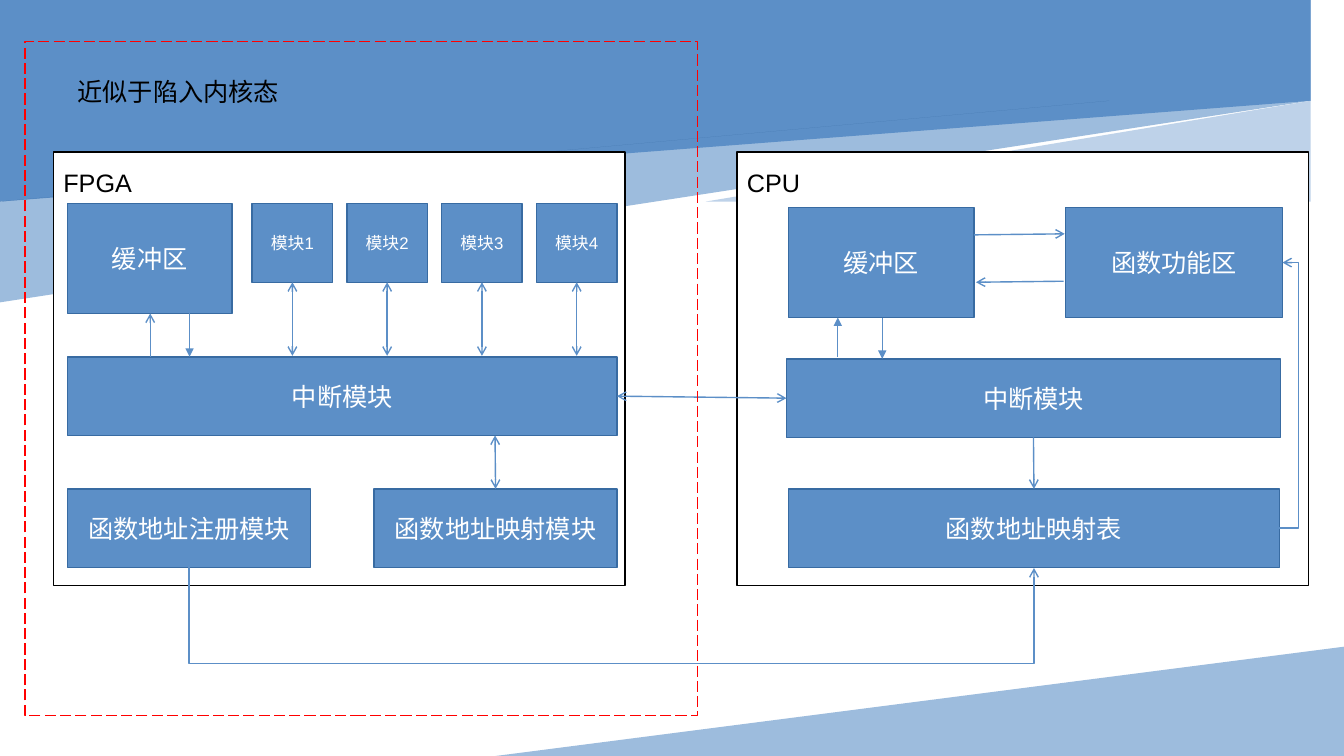
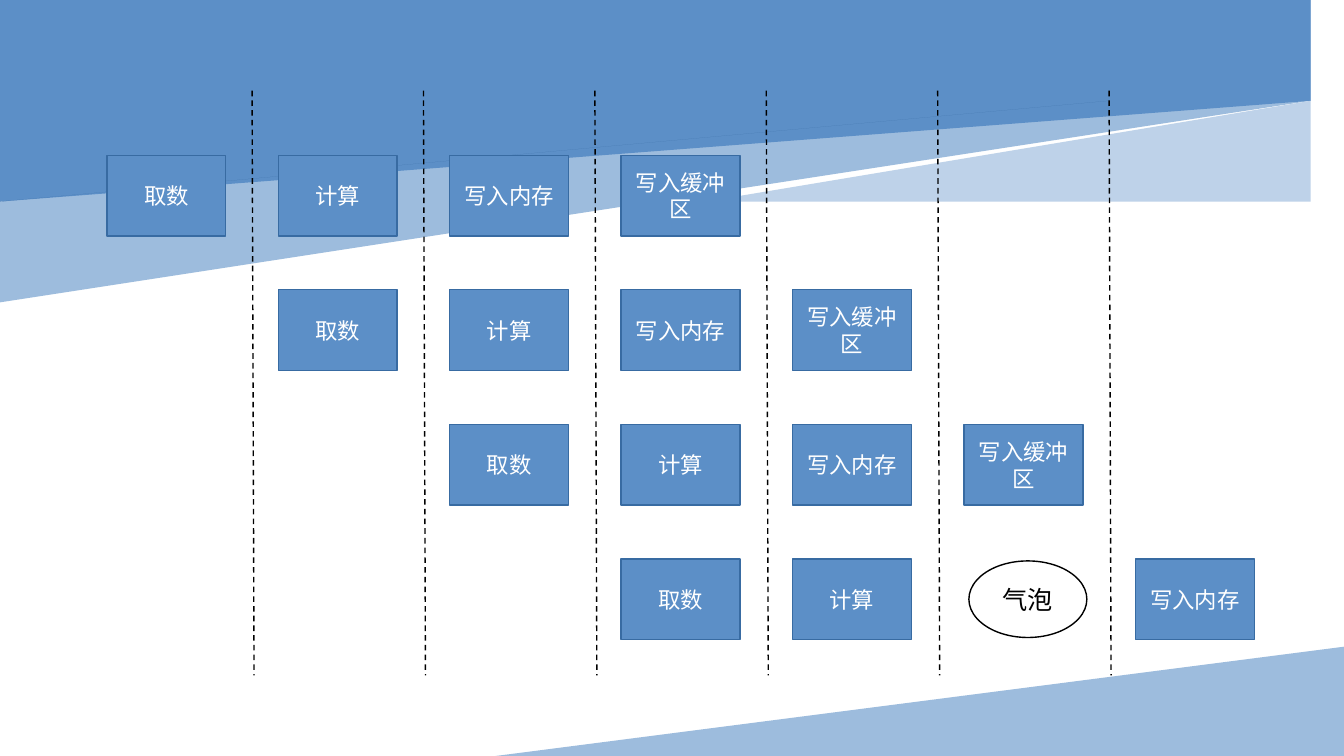
import dataclasses

import lxml.etree
import pptx
import pptx.dml.color
import pptx.enum.dml
import pptx.enum.shapes
import pptx.enum.text
import pptx.oxml.ns
import pptx.util

inch = pptx.util.Inches
qn = pptx.oxml.ns.qn
rgb = pptx.dml.color.RGBColor.from_string
Kind = pptx.enum.shapes.MSO_SHAPE
Route = pptx.enum.shapes.MSO_CONNECTOR
Dash = pptx.enum.dml.MSO_LINE
TOP, LEFT, BOTTOM, RIGHT = range(4)


@dataclasses.dataclass(frozen=True)
class Theme:
    blue: str = "5C8FC7"
    dark: str = "386BA2"
    light: str = "9DBCDD"
    pale: str = "BED2E9"
    white: str = "FFFFFF"
    black: str = "000000"
    alert: str = "FF0000"
    font: str = "Arial"
    large: int = 18
    medium: int = 16
    small: int = 12


theme = Theme()


def block(slide, box, text="", size=theme.large, fill=theme.blue, edge=theme.dark,
          ink=theme.white, kind=Kind.RECTANGLE):
    """Draw an outlined shape with centred text; a fill of None leaves it hollow."""
    shape = slide.shapes.add_shape(kind, *map(inch, box))
    shape.shadow.inherit = False
    if fill:
        shape.fill.solid()
        shape.fill.fore_color.rgb = rgb(fill)
    else:
        shape.fill.background()
    shape.line.color.rgb = rgb(edge)
    shape.line.width = pptx.util.Pt(1)
    if text:
        frame = shape.text_frame
        frame.word_wrap = True
        frame.vertical_anchor = pptx.enum.text.MSO_ANCHOR.MIDDLE
        frame.paragraphs[0].alignment = pptx.enum.text.PP_ALIGN.CENTER
        run = frame.paragraphs[0].add_run()
        run.text = text
        run.font.name, run.font.size = theme.font, pptx.util.Pt(size)
        run.font.color.rgb = rgb(ink)
    return shape


def link(slide, begin, end, head=None, tail="arrow", color=theme.blue, width=1,
         dash=None, route=Route.STRAIGHT):
    """Join two ends, each a point (x, y) or a pair (shape, side)."""
    joined = [not isinstance(place[0], (int, float)) for place in (begin, end)]
    points = [(0, 0) if glued else place for glued, place in zip(joined, (begin, end))]
    line = slide.shapes.add_connector(route, *(inch(v) for point in points for v in point))
    if joined[0]:
        line.begin_connect(*begin)
    if joined[1]:
        line.end_connect(*end)
    line.line.color.rgb = rgb(color)
    line.line.width = pptx.util.Pt(width)
    if dash:
        line.line.dash_style = dash
    properties = line.element.spPr
    stroke = properties.find(qn("a:ln"))
    for tag, arrow in (("a:headEnd", head), ("a:tailEnd", tail)):
        if arrow:
            lxml.etree.SubElement(stroke, qn(tag)).set("type", arrow)
    lxml.etree.SubElement(properties, qn("a:effectLst"))
    return line


deck = pptx.Presentation()
W, H = 13.33, 7.5
deck.slide_width, deck.slide_height = inch(W), inch(H)
blank = deck.slide_layouts[6]
system, pipeline = (deck.slides.add_slide(blank) for _ in range(2))

# Background bands, kept on the slide master
bands = []
for color, corners in (
    (theme.light, [(W, 0.47), (W, 0.85), (0, 3.14), (0, 2.14)]),
    (theme.blue, [(0, 0), (W, 0), (W, 0.76), (0, 1.9)]),
    (theme.dark, [(0, 1.9), (10.55, 1), (0, 2.49)]),
    (theme.pale, [(W, 0.85), (W, 1.77), (7.23, 1.89)]),
):
    outline = system.shapes.build_freeform(*corners[0], scale=inch(1))
    outline.add_line_segments(corners[1:], close=True)
    bands.append((outline.convert_to_shape(), color))
wedge = system.shapes.add_shape(Kind.ISOSCELES_TRIANGLE, *map(inch, (8.56, 2.73, 1.09, 8.46)))
wedge.adjustments[0] = 0
wedge.rotation = 270
bands.append((wedge, theme.light))
master_tree = deck.slide_master.element.cSld.spTree
for order, (band, color) in enumerate(bands):
    band.shadow.inherit = False
    band.fill.solid()
    band.fill.fore_color.rgb = rgb(color)
    band.line.fill.background()
    master_tree.insert(2 + order, band.element)

# Slide 1: FPGA and CPU, each with rows for buffers, interrupts and addresses
panel_x = {"FPGA": 0.53, "CPU": 7.31}
for x in panel_x.values():
    block(system, (x, 1.51, 5.67, 4.3), fill=theme.white, edge=theme.black)

row_h, buffer_h, address_y = 0.78, 1.09, 4.85
fpga_x, fpga_y, fpga_bus_y = 0.67, 2.02, 3.54
cpu_x, cpu_y, cpu_bus_y = 7.82, 2.06, 3.56
fpga_bus = block(system, (fpga_x, fpga_bus_y, 5.45, row_h), "中断模块")
block(system, (fpga_x, fpga_y, 1.63, buffer_h), "缓冲区")
register = block(system, (fpga_x, address_y, 2.41, row_h), "函数地址注册模块")
mapper = block(system, (3.71, address_y, 2.41, row_h), "函数地址映射模块")
cpu_bus = block(system, (7.8, cpu_bus_y, 4.9, row_h), "中断模块")
block(system, (cpu_x, cpu_y, 1.84, buffer_h), "缓冲区")
functions = block(system, (10.57, cpu_y, 2.15, buffer_h), "函数功能区")
address_table = block(system, (cpu_x, address_y, 4.87, row_h), "函数地址映射表")

for i in range(4):
    x = 2.5 + 0.94 * i
    module = block(system, (x, fpga_y, 0.8, row_h), f"模块{i + 1}", theme.small)
    link(system, (module, BOTTOM), (x + 0.4, fpga_bus_y - 0.01), head="arrow")

link(system, (1.49, fpga_bus_y), (1.49, fpga_y + buffer_h))
for begin, end in (
    ((1.88, fpga_y + buffer_h), (1.88, fpga_bus_y)),
    ((8.75, cpu_y + buffer_h), (8.75, cpu_bus_y)),
    ((8.31, cpu_bus_y - 0.02), (8.31, cpu_y + buffer_h)),
):
    link(system, begin, end, tail="triangle", width=0.5)
link(system, (9.66, 2.33), (10.56, 2.32))
link(system, (10.55, 2.79), (9.68, 2.8))
link(system, (4.91, fpga_bus_y + row_h), (mapper, TOP), head="arrow")
link(system, (fpga_bus, RIGHT), (cpu_bus, LEFT), head="arrow")
link(system, (cpu_bus, BOTTOM), (address_table, TOP))

# Two elbows leave and return on the same side; the bend lies beyond both ends
under = link(system, (register, BOTTOM), (address_table, BOTTOM), route=Route.ELBOW)
span, thin = under.width, inch(0.01)
middle_x, level = under.left + span // 2, under.top
under.left, under.top = middle_x - thin // 2, level - span // 2
under.width, under.height = thin, span
turn = under.element.spPr.find(qn("a:xfrm"))
turn.set("rot", "5400000")
turn.set("flipV", "1")
beside = link(system, (address_table, RIGHT), (functions, RIGHT), route=Route.ELBOW)
for elbow, reach in ((under, 0.97), (beside, 0.19)):
    guides = elbow.element.spPr.find(qn("a:prstGeom")).find(qn("a:avLst"))
    bend = lxml.etree.SubElement(guides, qn("a:gd"))
    bend.set("name", "adj1")
    bend.set("fmla", f"val {round(inch(reach) / elbow.width * 100000)}")

kernel = block(system, (0.25, 0.41, 6.67, 6.69), fill=None, edge=theme.alert)
kernel.line.dash_style = Dash.LONG_DASH
labels = [(name, x, 1.61, 1.48) for name, x in panel_x.items()]
for words, x, y, width in labels + [("近似于陷入内核态", fpga_x, 0.71, 2.41)]:
    label = system.shapes.add_textbox(*map(inch, (x, y, width, 0.4)))
    label.text_frame.word_wrap = True
    run = label.text_frame.paragraphs[0].add_run()
    run.text = words
    run.font.name, run.font.size = theme.font, pptx.util.Pt(theme.large)
    run.font.color.rgb = rgb(theme.black)

# Slide 2: each instruction starts one cycle after the one above
cycle_w, row_pitch = 1.7, 1.335
FETCH, COMPUTE, STORE, BUFFER, BUBBLE = "取数", "计算", "写入内存", "写入缓冲区", "气泡"
for i in range(6):
    x = 2.5 + cycle_w * i
    link(pipeline, (x, 0.9), (x + 0.02, 6.7), tail=None, color=theme.black, dash=Dash.DASH)
instructions = [[FETCH, COMPUTE, STORE, BUFFER]] * 3 + [[FETCH, COMPUTE, BUBBLE, STORE]]
for row, stages in enumerate(instructions):
    for step, stage in enumerate(stages):
        x, y = 1.06 + cycle_w * (row + step), 1.54 + row_pitch * row
        if stage == BUBBLE:
            block(pipeline, (x + 0.05, y + 0.02, 1.17, 0.76), stage, fill=theme.white,
                  edge=theme.black, ink=theme.black, kind=Kind.OVAL)
        else:
            block(pipeline, (x, y, 1.18, 0.8), stage, theme.medium)

deck.save("out.pptx")
